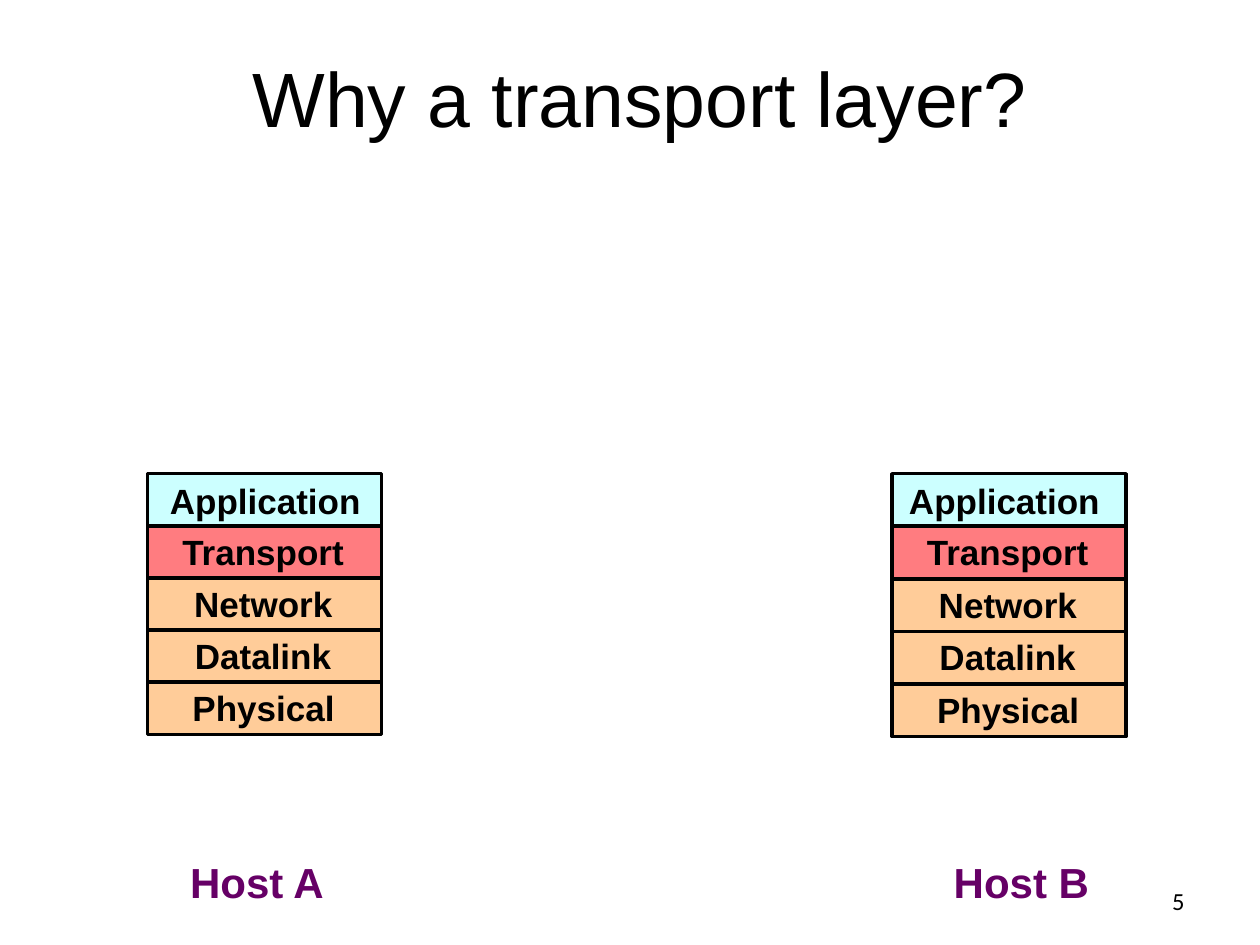
from pptx import Presentation
from pptx.dml.color import RGBColor
from pptx.enum.shapes import MSO_SHAPE
from pptx.enum.text import MSO_ANCHOR, MSO_AUTO_SIZE, PP_ALIGN
from pptx.util import Cm, Pt

RECTANGLE = MSO_SHAPE.RECTANGLE
MIDDLE = MSO_ANCHOR.MIDDLE
GROW = MSO_AUTO_SIZE.SHAPE_TO_FIT_TEXT
LEFT, CENTER, RIGHT = PP_ALIGN.LEFT, PP_ALIGN.CENTER, PP_ALIGN.RIGHT
TITLE_ONLY = 5

BLACK, PURPLE = "000000", "660066"
CYAN, RED, ORANGE = "CCFFFF", "FF7C80", "FFCC99"

# Lengths in cm; each layer has its name, fill and label width
LAYERS = [
    ("Application", CYAN, 4.39),
    ("Transport", RED, 3.81),
    ("Network", ORANGE, 3.33),
    ("Datalink", ORANGE, 3.3),
    ("Physical", ORANGE, 3.4),
]
STACK_TOP = 9.55
LAYER_WIDTH, LAYER_HEIGHT = 4.72, 1.06
LABEL_HEIGHT = 1.12


def color(hex_string):
    return RGBColor.from_string(hex_string)


class Deck:
    """Holds the text style and the current slide."""

    font_name = "Arial"

    def __init__(self, presentation):
        self.slide = presentation.slides.add_slide(
            presentation.slide_layouts[TITLE_ONLY])

    def set_text(self, frame, text, size, hex_color=BLACK, align=LEFT,
                 bold=False, font_name=None):
        paragraph = frame.paragraphs[0]
        paragraph.text = text
        paragraph.alignment = align
        font = paragraph.font
        font.name = font_name or self.font_name
        font.size = Pt(size)
        font.bold = bold
        font.color.rgb = color(hex_color)

    def title(self, text, left, top, width, height):
        title = self.slide.shapes.title
        title.left, title.top = Cm(left), Cm(top)
        title.width, title.height = Cm(width), Cm(height)
        title.text_frame.vertical_anchor = MIDDLE
        self.set_text(title.text_frame, text, 44, align=CENTER)

    def box(self, left, top, width, height, fill):
        box = self.slide.shapes.add_shape(
            RECTANGLE, Cm(left), Cm(top), Cm(width), Cm(height))
        box.shadow.inherit = False
        box.fill.solid()
        box.fill.fore_color.rgb = color(fill)
        box.line.color.rgb = color(BLACK)
        box.line.width = Pt(2)

    def label(self, text, left, top, width, height, size, **style):
        """Add a bold one-line label that grows with its text."""
        frame = self.slide.shapes.add_textbox(
            Cm(left), Cm(top), Cm(width), Cm(height)).text_frame
        frame.word_wrap = False
        frame.auto_size = GROW
        self.set_text(frame, text, size, bold=True, **style)

    def page_number(self, text, left, top, width, height):
        frame = self.slide.shapes.add_textbox(
            Cm(left), Cm(top), Cm(width), Cm(height)).text_frame
        frame.word_wrap = True
        frame.vertical_anchor = MIDDLE
        self.set_text(frame, text, 14, align=RIGHT, font_name="Calibri")

    def protocol_stack(self, left, pitch, application_shift):
        """Draw the layers from top to bottom, each label centred on its box."""
        for row, (name, fill, label_width) in enumerate(LAYERS):
            top = STACK_TOP + row * pitch
            self.box(left, top, LAYER_WIDTH, LAYER_HEIGHT, fill)
            label_left = left + (LAYER_WIDTH - label_width) / 2
            label_top = top - 0.04
            if name == "Application":
                label_left += application_shift
                label_top = top
            self.label(name, label_left, label_top, label_width,
                       LABEL_HEIGHT, 20)


def main():
    presentation = Presentation()
    presentation.slide_width, presentation.slide_height = Cm(25.4), Cm(19.05)
    deck = Deck(presentation)

    deck.title("Why a transport layer? ", 1.27, 0.33, 23.7, 3.25)
    deck.protocol_stack(2.97, pitch=1.05, application_shift=0.04)
    deck.protocol_stack(17.98, pitch=1.06, application_shift=-0.07)
    for host, left in (("Host A", 3.56), ("Host B", 18.97)):
        deck.label(host, left, 17.15, 3.24, 1.27, 24,
                   hex_color=PURPLE, align=CENTER)
    deck.page_number("5", 18.21, 17.65, 5.92, 1.02)

    presentation.save("out.pptx")


if __name__ == "__main__":
    main()
